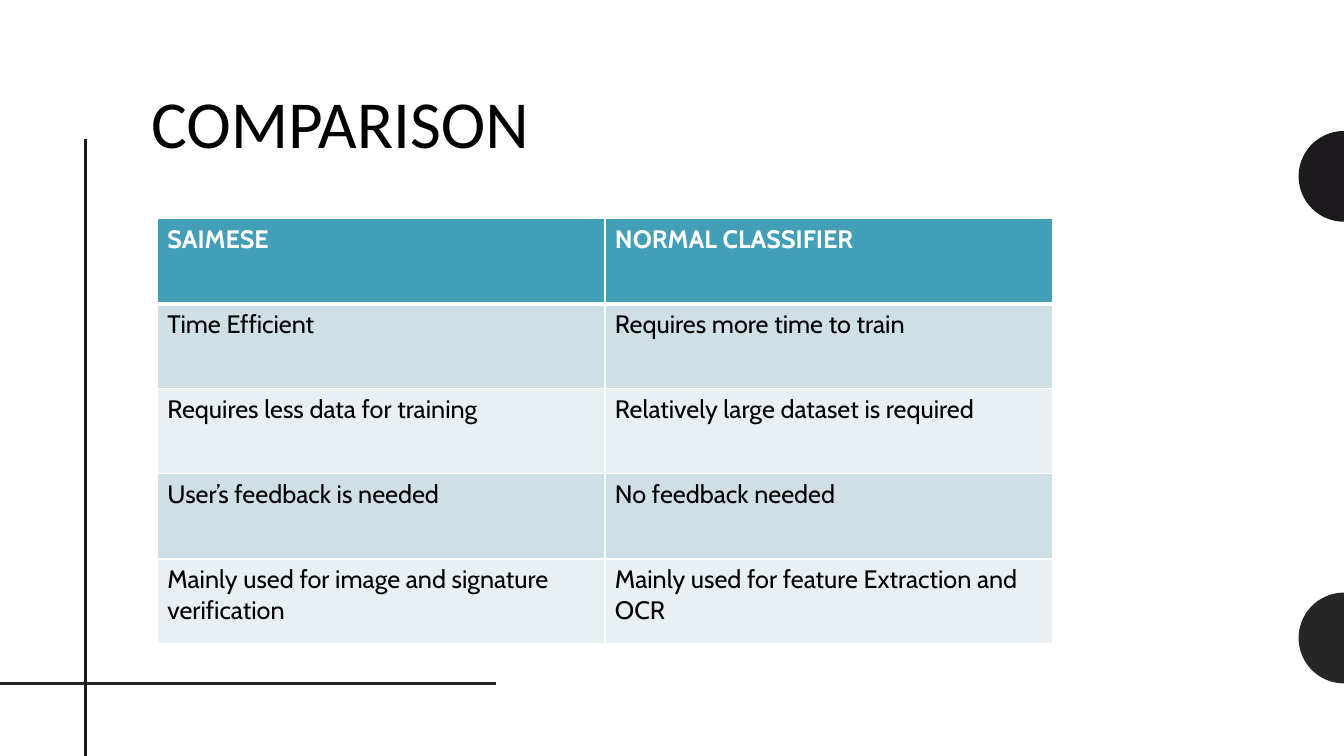
import math

import pptx
import pptx.dml.color
import pptx.enum.shapes
import pptx.oxml
import pptx.oxml.ns
import pptx.util
from pptx.util import Inches

# Content
TITLE = "COMPARISON"
ROWS = [
    ("SAIMESE", "NORMAL CLASSIFIER"),
    ("Time Efficient", "Requires more time to train"),
    ("Requires less data for training", "Relatively large dataset is required"),
    ("User’s feedback is needed", "No feedback needed"),
    ("Mainly used for image and signature verification",
     "Mainly used for feature Extraction and OCR"),
]

# Layout in inches and colours
WIDTH, HEIGHT = 13.33, 7.5
TABLE_BOX = (1.56, 2.17, 8.88, 4.22)
TITLE_BOX = (1.4, 0.76, 8.29, 0.91)
DARK, GREY, BLACK, WHITE = "1D1A1D", "262626", "000000", "FFFFFF"
HEADER_FILL, BAND_FILLS = "439EB7", ("CFDFE6", "E9F0F3")
RADIUS = 0.45
HALF_DISCS = [(6.33, GREY), (1.75, DARK)]
RULES = [((0, 6.78), (4.92, 6.78), GREY), ((0.85, 1.38), (0.85, HEIGHT), DARK)]


def paint(color_format, color):
    color_format.rgb = pptx.dml.color.RGBColor.from_string(color)


def fill_with(fill, color):
    fill.solid()
    paint(fill.fore_color, color)


def style_text(text_frame, font_name, size, color, bold=False):
    for run in text_frame.paragraphs[0].runs:
        run.font.name = font_name
        run.font.size = pptx.util.Pt(size)
        run.font.bold = bold
        paint(run.font.color, color)


def add_half_disc(slide, center_y, color):
    steps = 48
    angles = [math.pi * (0.5 + step / steps) for step in range(steps + 1)]
    points = [(Inches(WIDTH + RADIUS * math.cos(angle)),
               Inches(center_y - RADIUS * math.sin(angle))) for angle in angles]
    builder = slide.shapes.build_freeform(*points[0])
    builder.add_line_segments(points[1:], close=True)
    shape = builder.convert_to_shape()
    shape.shadow.inherit = False
    fill_with(shape.fill, color)
    shape.line.fill.background()


def add_rule(slide, start, end, color):
    connector = slide.shapes.add_connector(
        pptx.enum.shapes.MSO_CONNECTOR.STRAIGHT,
        *(Inches(length) for length in start + end))
    connector.line.width = pptx.util.Pt(2)
    paint(connector.line.color, color)
    connector._element.spPr.append(pptx.oxml.parse_xml(
        "<a:effectLst %s/>" % pptx.oxml.ns.nsdecls("a")))


def set_borders(cell, widths):
    for side, width in widths.items():
        cell._tc.get_or_add_tcPr().append(pptx.oxml.parse_xml(
            '<a:ln%s %s w="%d"><a:solidFill><a:srgbClr val="%s"/></a:solidFill></a:ln%s>'
            % (side, pptx.oxml.ns.nsdecls("a"), pptx.util.Pt(width), WHITE, side)))


presentation = pptx.Presentation()
presentation.slide_width = Inches(WIDTH)
presentation.slide_height = Inches(HEIGHT)
slide = presentation.slides.add_slide(presentation.slide_layouts[6])

# Edge decoration
for center_y, color in HALF_DISCS:
    add_half_disc(slide, center_y, color)
for start, end, color in RULES:
    add_rule(slide, start, end, color)

# Comparison table
table = slide.shapes.add_table(
    len(ROWS), len(ROWS[0]), *(Inches(length) for length in TABLE_BOX)).table
for row_index, row in enumerate(ROWS):
    is_header = row_index == 0
    fill_color = HEADER_FILL if is_header else BAND_FILLS[(row_index - 1) % 2]
    borders = {"L": 1, "R": 1, "T": 3 if row_index == 1 else 1,
               "B": 3 if is_header else 1}
    for column_index, text in enumerate(row):
        cell = table.cell(row_index, column_index)
        cell.text_frame.text = text
        style_text(cell.text_frame, "Cabin", 18,
                   WHITE if is_header else BLACK, is_header)
        set_borders(cell, borders)
        fill_with(cell.fill, fill_color)

# Title
title = slide.shapes.add_textbox(*(Inches(length) for length in TITLE_BOX))
title.text_frame.word_wrap = True
title.text_frame.text = TITLE
style_text(title.text_frame, "Calibri", 48, BLACK)

presentation.save("out.pptx")
